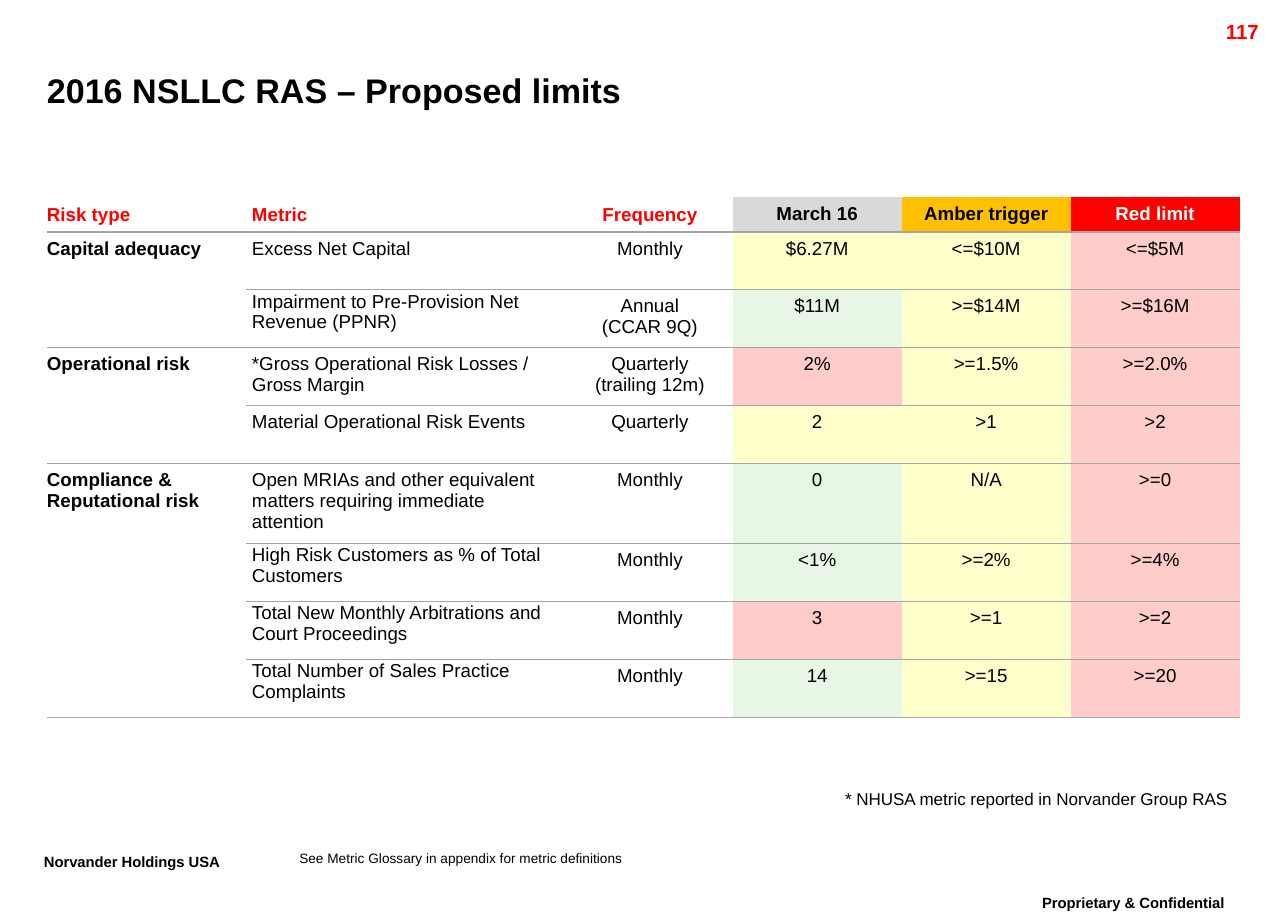
from dataclasses import dataclass

import pptx
import pptx.dml.color
import pptx.enum.text
import pptx.oxml
import pptx.oxml.ns
import pptx.util

Pt = pptx.util.Pt
Align = pptx.enum.text.PP_ALIGN
Anchor = pptx.enum.text.MSO_ANCHOR


@dataclass(frozen=True)
class Theme:
    font: str = "Arial"
    black: str = "000000"
    white: str = "FFFFFF"
    red: str = "FF0000"
    amber: str = "FFC000"
    gray: str = "D9D9D9"
    rule: str = "A5A5A5"
    pale_green: str = "E8F6E6"
    pale_amber: str = "FFFFCC"
    pale_red: str = "FFCCCC"
    title_size: float = 20
    footer_size: float = 15
    number_size: float = 12
    table_size: float = 11
    note_size: float = 10
    glossary_size: float = 8


THEME = Theme()
NO_STYLE = "{2D5ABB26-0587-4C30-8999-92F81FD0307C}"
COLUMN_WIDTHS = [116.8, 188.6, 97.2, 99.2, 99.2, 99.2]
HEADER_HEIGHT, ROW_HEIGHT, TALL_ROW_HEIGHT = 20.6, 34, 47
PAD, TIGHT_PAD = 3.6, 0.72

# label, text colour, fill, alignment
HEADERS = [
    ("Risk type", THEME.red, None, Align.LEFT),
    ("Metric", THEME.red, None, Align.LEFT),
    ("Frequency", THEME.red, None, Align.CENTER),
    ("March 16", THEME.black, THEME.gray, Align.CENTER),
    ("Amber trigger", THEME.black, THEME.amber, Align.CENTER),
    ("Red limit", THEME.white, THEME.red, Align.CENTER),
]

# metric, frequency, current value, amber trigger, red limit, status, tight top
GREEN, AMBER, RED = THEME.pale_green, THEME.pale_amber, THEME.pale_red
RISKS = {
    "Capital adequacy": [
        ("Excess Net Capital", "Monthly", "$6.27M", "<=$10M", "<=$5M", AMBER, False),
        ("Impairment to Pre-Provision Net Revenue (PPNR)", "Annual\n(CCAR 9Q)",
         "$11M", ">=$14M", ">=$16M", GREEN, True),
    ],
    "Operational risk": [
        ("*Gross Operational Risk Losses / Gross Margin", "Quarterly\n(trailing 12m)",
         "2%", ">=1.5%", ">=2.0%", RED, False),
        ("Material Operational Risk Events", "Quarterly", "2", ">1", ">2", AMBER, False),
    ],
    "Compliance & Reputational risk": [
        ("Open MRIAs and other equivalent matters requiring immediate attention",
         "Monthly", "0", "N/A", ">=0", GREEN, False),
        ("High Risk Customers as % of Total Customers", "Monthly",
         "<1%", ">=2%", ">=4%", GREEN, True),
        ("Total New Monthly Arbitrations and Court Proceedings", "Monthly",
         "3", ">=1", ">=2", RED, True),
        ("Total Number of Sales Practice Complaints", "Monthly",
         "14", ">=15", ">=20", GREEN, True),
    ],
}


def write_text(frame, text, *, size, color=THEME.black, bold=False,
               align=Align.LEFT, spacing=None, raised=False):
    for index, line in enumerate(text.split("\n")):
        paragraph = frame.add_paragraph() if index else frame.paragraphs[0]
        paragraph.alignment = align
        if spacing:
            paragraph.line_spacing = spacing
        run = paragraph.add_run()
        run.text = line
        run.font.name = THEME.font
        run.font.size = Pt(size)
        run.font.bold = bold
        run.font.color.rgb = pptx.dml.color.RGBColor.from_string(color)
        if raised:
            run.font._element.set("baseline", "30000")


def set_margins(target, left, top, right, bottom):
    target.margin_left, target.margin_top = Pt(left), Pt(top)
    target.margin_right, target.margin_bottom = Pt(right), Pt(bottom)


def add_text(slide, box, text, *, wrap=True, inset=True, anchor=Anchor.TOP, **text_format):
    shape = slide.shapes.add_textbox(*map(Pt, box))
    frame = shape.text_frame
    frame.word_wrap = wrap
    frame.vertical_anchor = anchor
    if not inset:
        set_margins(frame, 0, 0, 0, 0)
    write_text(frame, text, **text_format)


def add_rule(cell, side, width=0.75):
    """Draw the cell's top (lnT) or bottom (lnB) border."""
    line = pptx.oxml.parse_xml(
        f'<a:{side} {pptx.oxml.ns.nsdecls("a")} w="{Pt(width)}"><a:solidFill>'
        f'<a:srgbClr val="{THEME.rule}"/></a:solidFill></a:{side}>')
    cell._tc.get_or_add_tcPr().append(line)


def fill_cell(cell, text, *, fill=None, left=PAD, tight=False, anchor=Anchor.TOP,
              rules=("lnB",), rule_width=0.75, **text_format):
    for side in rules:
        add_rule(cell, side, rule_width)
    if fill:
        cell.fill.solid()
        cell.fill.fore_color.rgb = pptx.dml.color.RGBColor.from_string(fill)
    else:
        cell.fill.background()
    set_margins(cell, left, *((TIGHT_PAD, TIGHT_PAD, 0) if tight else (PAD, PAD, PAD)))
    cell.vertical_anchor = anchor
    write_text(cell.text_frame, text, size=THEME.table_size, **text_format)


def add_limits_table(slide, left, top):
    row_count = 1 + sum(map(len, RISKS.values()))
    heights = [HEADER_HEIGHT] + [ROW_HEIGHT] * (row_count - 1)
    heights[5] = TALL_ROW_HEIGHT
    frame = slide.shapes.add_table(row_count, len(HEADERS), Pt(left), Pt(top),
                                   Pt(sum(COLUMN_WIDTHS)), Pt(sum(heights)))
    table = frame.table
    table.first_row = table.horz_banding = False
    table._tbl.tblPr.find(pptx.oxml.ns.qn("a:tableStyleId")).text = NO_STYLE
    for column, width in zip(table.columns, COLUMN_WIDTHS):
        column.width = Pt(width)
    for row, height in zip(table.rows, heights):
        row.height = Pt(height)

    for column, (label, color, fill, align) in enumerate(HEADERS):
        fill_cell(table.cell(0, column), label, color=color, fill=fill, align=align,
                  bold=True, left=PAD if column else 0, rule_width=1.5,
                  anchor=Anchor.TOP if fill else Anchor.BOTTOM)

    row = 1
    for risk, metrics in RISKS.items():
        risk_cell = table.cell(row, 0)
        risk_cell.merge(table.cell(row + len(metrics) - 1, 0))
        fill_cell(risk_cell, risk, bold=True, left=0)
        add_rule(table.cell(row + len(metrics) - 1, 0), "lnB")
        for metric, frequency, current, trigger, limit, status, tight in metrics:
            fill_cell(table.cell(row, 1), metric, tight=tight)
            values = [(frequency, None), (current, status), (trigger, AMBER), (limit, RED)]
            for column, (text, fill) in enumerate(values, start=2):
                fill_cell(table.cell(row, column), text, fill=fill, align=Align.CENTER)
            row += 1


def add_header(slide, left, top, width):
    add_text(slide, (left + 646.5, top, 72, 17.3), "117", size=THEME.number_size,
             color=THEME.red, bold=True, align=Align.RIGHT)
    add_text(slide, (left, top + 27.4, width, 34.6), "2016 NSLLC RAS – Proposed limits",
             size=THEME.title_size, bold=True, inset=False, anchor=Anchor.MIDDLE)


def add_footer(slide, left, top):
    footer = dict(size=THEME.footer_size, bold=True, spacing=0.86, raised=True)
    add_text(slide, (left + 469.5, top, 239.8, 18), "* NHUSA metric reported in Norvander Group RAS",
             size=THEME.note_size, spacing=0.86, align=Align.CENTER, wrap=False)
    add_text(slide, (left + 157, top + 38.2, 393.8, 9.4),
             "See Metric Glossary in appendix for metric definitions",
             size=THEME.glossary_size, inset=False)
    add_text(slide, (left, top + 36.7, 137.5, 23), "Norvander Holdings USA", wrap=False, **footer)
    add_text(slide, (left + 568, top + 61.2, 157, 23), "Proprietary & Confidential",
             align=Align.CENTER, **footer)


def main():
    presentation = pptx.Presentation()
    presentation.slide_width, presentation.slide_height = Pt(756), Pt(540)
    slide = presentation.slides.add_slide(presentation.slide_layouts[6])
    add_header(slide, 27.5, 7.9, 682.6)
    add_limits_table(slide, 27.5, 115.6)
    add_footer(slide, 18.7, 460.8)
    presentation.save("out.pptx")


if __name__ == "__main__":
    main()
